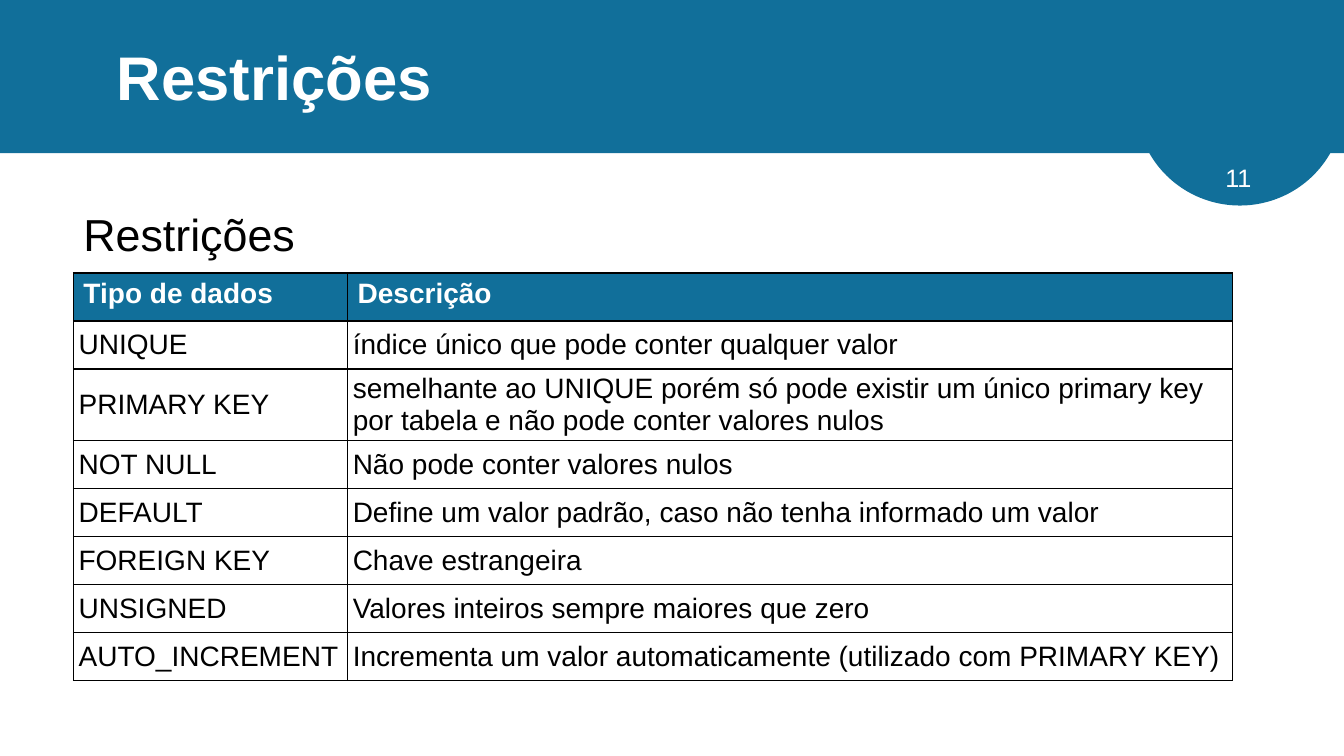
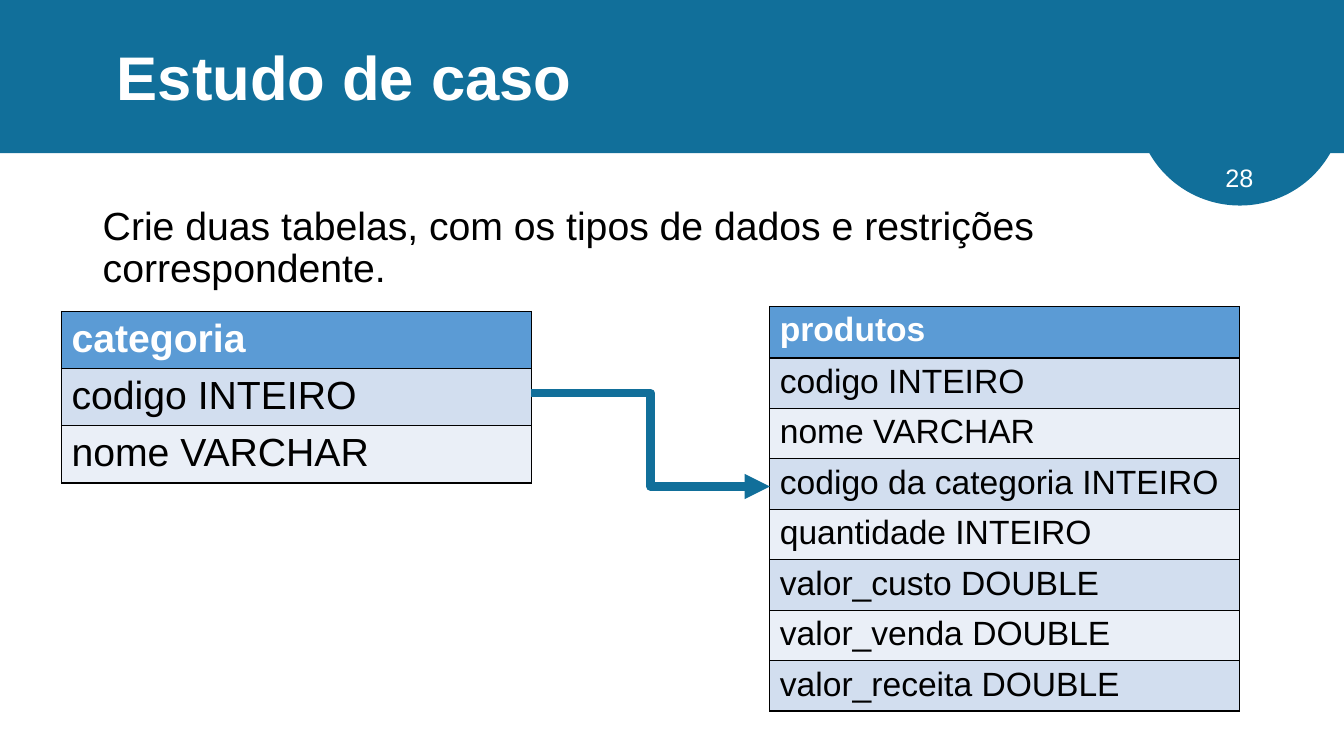
from dataclasses import dataclass
from typing import Optional

from lxml import etree
from pptx import Presentation
from pptx.dml.color import RGBColor
from pptx.enum.shapes import MSO_CONNECTOR, MSO_SHAPE
from pptx.enum.text import MSO_ANCHOR, MSO_AUTO_SIZE, PP_ALIGN
from pptx.oxml.ns import qn
from pptx.util import Cm, Length, Pt

ELBOW = MSO_CONNECTOR.ELBOW
OVAL, RECTANGLE = MSO_SHAPE.OVAL, MSO_SHAPE.RECTANGLE
MIDDLE, TOP = MSO_ANCHOR.MIDDLE, MSO_ANCHOR.TOP
LEFT = PP_ALIGN.LEFT
NO_AUTOFIT = MSO_AUTO_SIZE.NONE

TEAL = RGBColor(0x11, 0x6F, 0x9A)
BLUE = RGBColor(0x5B, 0x9B, 0xD5)
BAND_DARK = RGBColor(0xD2, 0xDE, 0xEF)
BAND_LIGHT = RGBColor(0xEA, 0xEF, 0xF7)
WHITE = RGBColor(0xFF, 0xFF, 0xFF)
BLACK = RGBColor(0x00, 0x00, 0x00)

FONT = "Arial"
SLIDE_WIDTH, SLIDE_HEIGHT = Cm(33.87), Cm(19.05)
BAND_HEIGHT = Cm(3.86)
TITLE_ONLY = 5


@dataclass(frozen=True)
class Grid:
    """A table whose first row is the header; bands colour the body rows in turn."""
    left: Length
    top: Length
    widths: tuple[Length, ...]
    header_height: Length
    row_height: Length
    size: int
    header_fill: RGBColor
    rows: tuple[tuple[str, ...], ...]
    bands: tuple[Optional[RGBColor], ...] = (BAND_DARK, BAND_LIGHT)
    compact: bool = False


CONSTRAINTS = Grid(
    Cm(1.85), Cm(6.88), (Cm(6.91), Cm(22.3)), Cm(1.21), Cm(1.21), 20, TEAL,
    (
        ("Tipo de dados", "Descrição"),
        ("UNIQUE", "índice único que pode conter qualquer valor"),
        ("PRIMARY KEY", "semelhante ao UNIQUE porém só pode existir um único "
                        "primary key por tabela e não pode conter valores nulos"),
        ("NOT NULL", "Não pode conter valores nulos"),
        ("DEFAULT", "Define um valor padrão, caso não tenha informado um valor"),
        ("FOREIGN KEY", "Chave estrangeira"),
        ("UNSIGNED", "Valores inteiros sempre maiores que zero"),
        ("AUTO_INCREMENT",
         "Incrementa um valor automaticamente (utilizado com PRIMARY KEY)"),
    ),
    bands=(None,), compact=True,
)
PRODUCTS = Grid(
    Cm(19.4), Cm(7.72), (Cm(11.84),), Cm(1.3), Cm(1.2), 24, BLUE,
    (
        ("produtos",),
        ("codigo INTEIRO",),
        ("nome VARCHAR",),
        ("codigo da categoria INTEIRO",),
        ("quantidade INTEIRO",),
        ("valor_custo DOUBLE",),
        ("valor_venda DOUBLE",),
        ("valor_receita DOUBLE",),
    ),
)
CATEGORY = Grid(
    Cm(1.55), Cm(7.85), (Cm(11.84),), Cm(1.36), Cm(1.36), 28, BLUE,
    (("categoria",), ("codigo INTEIRO",), ("nome VARCHAR",)),
)


def write(tf, text: str, size: int, color: RGBColor, bold: bool = False,
          line_spacing: Optional[float] = None) -> None:
    tf.text = text
    p = tf.paragraphs[0]
    p.alignment = LEFT
    if line_spacing:
        p.line_spacing = line_spacing
    font = p.runs[0].font
    font.name, font.size, font.bold = FONT, Pt(size), bold
    font.color.rgb = color


def add_text(s, left: Length, top: Length, width: Length, height: Length,
             text: str, size: int, color: RGBColor = BLACK,
             line_spacing: Optional[float] = None) -> None:
    tf = s.shapes.add_textbox(left, top, width, height).text_frame
    tf.word_wrap = True
    write(tf, text, size, color, line_spacing=line_spacing)


def add_filled(s, kind, left: Length, top: Length, width: Length,
               height: Length) -> None:
    sp = s.shapes.add_shape(kind, left, top, width, height)
    sp.shadow.inherit = False
    sp.fill.solid()
    sp.fill.fore_color.rgb = TEAL
    sp.line.fill.background()


def add_page(prs, title: str, number: int):
    s = prs.slides.add_slide(prs.slide_layouts[TITLE_ONLY])
    add_filled(s, OVAL, Cm(28.63), Cm(0), Cm(5.23), Cm(5.18))
    add_filled(s, RECTANGLE, Cm(0), Cm(0), SLIDE_WIDTH, BAND_HEIGHT)
    sp = s.shapes.title
    sp.left, sp.top, sp.width, sp.height = Cm(2.69), Cm(0.18), Cm(28.83), Cm(3.68)
    tf = sp.text_frame
    tf.vertical_anchor = MIDDLE
    tf.auto_size = NO_AUTOFIT
    write(tf, title, 44, WHITE, bold=True, line_spacing=0.9)
    # The title comes first in the tree; bring it in front of the band.
    sp.element.getparent().append(sp.element)
    add_text(s, Cm(30.63), Cm(3.96), Cm(1.5), Cm(1.02), str(number), 18, WHITE)
    return s


def set_borders(cell) -> None:
    """Draw a thin black line on all four sides of the cell."""
    tc_pr = cell._tc.get_or_add_tcPr()
    for i, side in enumerate(("a:lnL", "a:lnR", "a:lnT", "a:lnB")):
        ln = etree.Element(qn(side), w=str(Pt(1)))
        fill = etree.SubElement(ln, qn("a:solidFill"))
        etree.SubElement(fill, qn("a:srgbClr"), val=str(BLACK))
        tc_pr.insert(i, ln)


def style_cell(cell, text: str, grid: Grid, row: int) -> None:
    header = row == 0
    fill = grid.header_fill if header else grid.bands[(row - 1) % len(grid.bands)]
    if fill is None:
        cell.fill.background()
    else:
        cell.fill.solid()
        cell.fill.fore_color.rgb = fill
    compact = grid.compact and not header
    cell.vertical_anchor = MIDDLE if compact else TOP
    if compact:
        cell.margin_left = cell.margin_right = Cm(0.13)
        cell.margin_top = cell.margin_bottom = Cm(0.05)
    write(cell.text_frame, text, grid.size, WHITE if header else BLACK, bold=header)
    set_borders(cell)


def add_grid(s, grid: Grid) -> None:
    height = grid.header_height + grid.row_height * (len(grid.rows) - 1)
    table = s.shapes.add_table(len(grid.rows), len(grid.widths), grid.left,
                               grid.top, sum(grid.widths), height).table
    table.horz_banding = False
    for column, width in zip(table.columns, grid.widths):
        column.width = width
    for i, texts in enumerate(grid.rows):
        table.rows[i].height = grid.row_height if i else grid.header_height
        for j, text in enumerate(texts):
            style_cell(table.cell(i, j), text, grid, i)


def add_elbow_arrow(s, x1: Length, y1: Length, x2: Length, y2: Length) -> None:
    arrow = s.shapes.add_connector(ELBOW, x1, y1, x2, y2)
    arrow.line.color.rgb = TEAL
    arrow.line.width = Pt(6)
    etree.SubElement(arrow.line._get_or_add_ln(), qn("a:tailEnd"), type="triangle")
    etree.SubElement(arrow.element.spPr, qn("a:effectLst"))


def build_constraints(prs) -> None:
    s = add_page(prs, "Restrições", 11)
    add_text(s, Cm(1.85), Cm(5.08), Cm(7), Cm(1.63), "Restrições", 32)
    add_grid(s, CONSTRAINTS)


def build_case_study(prs) -> None:
    s = add_page(prs, "Estudo de caso", 28)
    add_text(s, Cm(2.34), Cm(5.08), Cm(29.21), Cm(2.4),
             "Crie duas tabelas, com os tipos de dados e restrições correspondente.",
             28, line_spacing=0.9)
    add_grid(s, PRODUCTS)
    add_grid(s, CATEGORY)
    add_elbow_arrow(s, CATEGORY.left + CATEGORY.widths[0], Cm(9.91),
                    PRODUCTS.left, Cm(12.26))


def main() -> None:
    prs = Presentation()
    prs.slide_width, prs.slide_height = SLIDE_WIDTH, SLIDE_HEIGHT
    build_constraints(prs)
    build_case_study(prs)
    prs.save("out.pptx")


if __name__ == "__main__":
    main()
